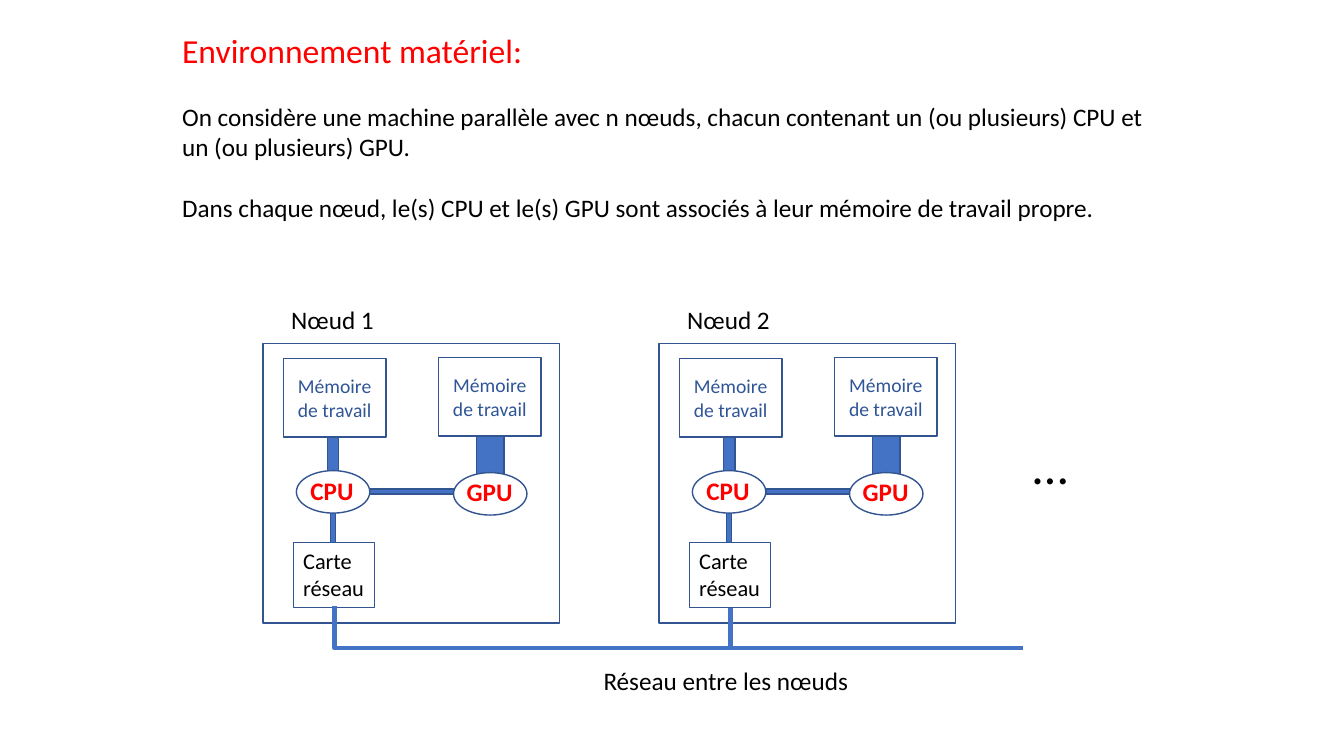
import pptx
import pptx.util
import pptx.dml.color
import pptx.enum.shapes
import pptx.enum.text
import lxml.etree

Cm, Pt = pptx.util.Cm, pptx.util.Pt
KIND = pptx.enum.shapes.MSO_SHAPE
ALIGN = pptx.enum.text.PP_ALIGN
ANCHOR = pptx.enum.text.MSO_ANCHOR
BLACK, WHITE, RED = "000000", "FFFFFF", "FF0000"
BLUE, EDGE, NAVY = "4472C4", "325491", "2F5597"


def paint(target, color):
    """Give a solid colour to a fill, or to the fill of a line or font."""
    fill = target if hasattr(target, "solid") else target.fill
    fill.solid()
    fill.fore_color.rgb = pptx.dml.color.RGBColor.from_string(color)


def write(shape, text, size, color, bold=None, wrap=False):
    """Put left-aligned text into a shape, one paragraph per line."""
    frame = shape.text_frame
    frame.text = text
    frame.word_wrap = wrap
    frame.vertical_anchor = ANCHOR.TOP
    for par in frame.paragraphs:
        par.alignment = ALIGN.LEFT
        for run in par.runs:
            run.font.name = "Calibri"
            run.font.size = Pt(size)
            run.font.bold = bold
            paint(run.font, color)


deck = pptx.Presentation()
deck.slide_width, deck.slide_height = Cm(33.87), Cm(19.05)
slide = deck.slides.add_slide(deck.slide_layouts[6])

# Heading and introduction
intro = slide.shapes.add_textbox(Cm(4.34), Cm(0.64), Cm(24.77), Cm(5.13))
write(intro, "Environnement matériel:\n"
      "On considère une machine parallèle avec n nœuds, chacun contenant "
      "un (ou plusieurs) CPU et un (ou plusieurs) GPU.\n"
      "Dans chaque nœud, le(s) CPU et le(s) GPU sont associés à leur "
      "mémoire de travail propre.", 18, BLACK, wrap=True)
head, *body = intro.text_frame.paragraphs
head.runs[0].font.size = Pt(24)
paint(head.runs[0].font, RED)
for par in body:
    par.space_before = Pt(22)

# Free labels: text, left, top, width, height, size
for text, left, top, width, height, size in [
    ("…", 25.78, 10.82, 1.4, 1.8, 36),
    ("Réseau entre les nœuds", 14.96, 16.64, 6.86, 1.02, 18),
]:
    box = slide.shapes.add_textbox(Cm(left), Cm(top), Cm(width), Cm(height))
    write(box, text, size, BLACK)

# Parts of a node, back to front: kind, left within the node, top, width,
# height, fill, text
MEMORY, CARD = "Mémoire de travail", "Carte\nréseau"
PARTS = [
    (KIND.RECTANGLE, 0, 8.66, 7.47, 7.04, WHITE, ""),
    (KIND.RECTANGLE, 1.63, 10.52, 0.28, 1.88, BLUE, ""),
    (KIND.RECTANGLE, 5.38, 10.49, 0.69, 1.88, BLUE, ""),
    (KIND.RECTANGLE, 2.69, 12.32, 2.16, 0.13, BLUE, ""),
    (KIND.RECTANGLE, 0.51, 9.03, 2.59, 1.98, WHITE, MEMORY),
    (KIND.RECTANGLE, 4.42, 9.01, 2.59, 1.98, WHITE, MEMORY),
    (KIND.OVAL, 4.8, 11.91, 1.85, 1.07, WHITE, ""),
    (KIND.RECTANGLE, 1.7, 12.42, 0.13, 1.88, BLUE, ""),
    (KIND.OVAL, 0.84, 11.86, 1.85, 1.07, WHITE, ""),
    (KIND.RECTANGLE, 0.76, 13.67, 2.06, 1.63, WHITE, CARD),
]
# Labels of a node: text, left within the node, top, width, colour, bold
LABELS = [
    ("Nœud {}", 0.46, 7.54, 2.62, BLACK, None),
    ("GPU", 4.88, 11.89, 1.68, RED, True),
    ("CPU", 0.94, 11.86, 1.6, RED, True),
]
START, PITCH = 6.63, 9.98

for index in range(2):
    origin = START + index * PITCH
    node = slide.shapes.add_group_shape()
    for kind, left, top, width, height, fill, text in PARTS:
        part = node.shapes.add_shape(
            kind, Cm(origin + left), Cm(top), Cm(width), Cm(height))
        part.shadow.inherit = False
        paint(part.fill, fill)
        paint(part.line, EDGE)
        part.line.width = Pt(0.75 if text == CARD else 1)
        if text == CARD:
            write(part, text, 16, BLACK)
        elif text == MEMORY:
            write(part, text, 14, NAVY, wrap=True)
            part.text_frame.vertical_anchor = ANCHOR.MIDDLE
            part.text_frame.paragraphs[0].alignment = ALIGN.CENTER
    for text, left, top, width, color, bold in LABELS:
        label = node.shapes.add_textbox(
            Cm(origin + left), Cm(top), Cm(width), Cm(1.02))
        write(label, text.format(index + 1), 18, color, bold)

# Network: a bent link between the two cards, then the line onwards
first, bus = START + 1.8, 16.33
second = first + PITCH
pen = slide.shapes.build_freeform(Cm(first), Cm(15.27))
pen.add_line_segments(
    [(Cm(first), Cm(bus)), (Cm(second), Cm(bus)), (Cm(second), Cm(15.32))],
    close=False)
link = pen.convert_to_shape()
link.shadow.inherit = False
link.fill.background()
trunk = slide.shapes.add_connector(
    pptx.enum.shapes.MSO_CONNECTOR.STRAIGHT,
    Cm(second), Cm(bus), Cm(25.78), Cm(bus))
lxml.etree.SubElement(
    trunk.element.spPr, pptx.oxml.ns.qn("a:effectLst"))
for wire in (link, trunk):
    paint(wire.line, BLUE)
    wire.line.width = Pt(3)
# The line properties must come before the effect list
trunk.element.spPr.append(
    trunk.element.spPr.find(pptx.oxml.ns.qn("a:effectLst")))

deck.save("out.pptx")
